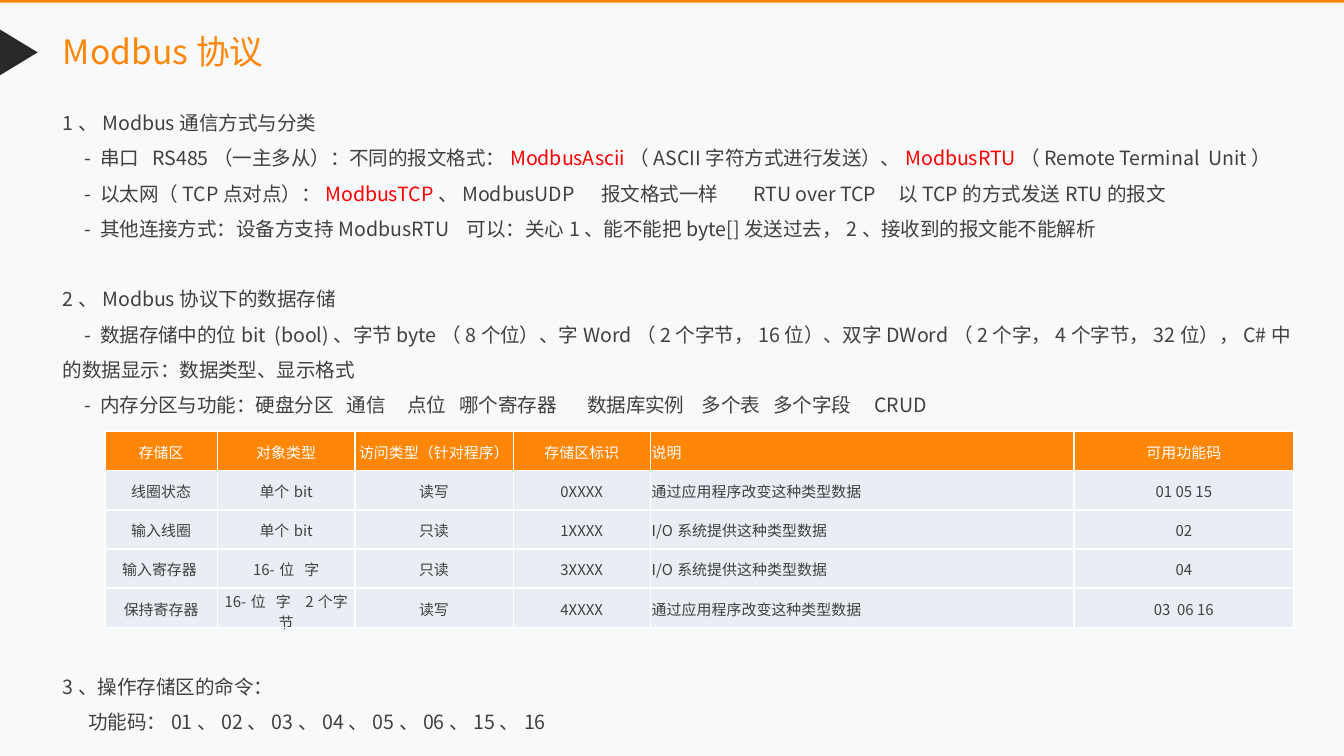
from lxml import etree
from pptx import Presentation
from pptx.dml.color import RGBColor
from pptx.enum import shapes, text
from pptx.oxml import ns
from pptx.util import Inches, Pt

ORANGE = RGBColor(0xFF, 0x86, 0x07)
DARK = RGBColor(0x28, 0x28, 0x28)
GREY = RGBColor(0x40, 0x40, 0x40)
RED = RGBColor(0xFF, 0x00, 0x00)
WHITE = RGBColor(0xFF, 0xFF, 0xFF)
PALE = RGBColor(0xE9, 0xED, 0xF4)
BACK = RGBColor(0xF7, 0xF9, 0xFA)
FONT = "Noto Sans CJK SC"


def add_run(p, words, size, color):
    r = p.add_run()
    r.text = words
    r.font.size = Pt(size)
    r.font.name = FONT
    r.font.color.rgb = color
    etree.SubElement(r.font._element, ns.qn("a:ea"), typeface=FONT)


def add_textbox(left, top, width, height):
    tf = s.shapes.add_textbox(Inches(left), Inches(top), Inches(width), Inches(height)).text_frame
    tf.word_wrap = True
    return tf


# 16:9 slide
prs = Presentation()
prs.slide_width, prs.slide_height = Inches(10), Inches(10 * 9 / 16)
s = prs.slides.add_slide(prs.slide_layouts[6])
s.background.fill.solid()
s.background.fill.fore_color.rgb = BACK

# Top bar and title marker
for kind, box, rotation, color in [
    (shapes.MSO_SHAPE.RECTANGLE, (0, 0, 10, 0.02), 0, ORANGE),
    (shapes.MSO_SHAPE.ISOSCELES_TRIANGLE, (-0.03, 0.25, 0.34, 0.28), 90, DARK),
]:
    sp = s.shapes.add_shape(kind, *[Inches(v) for v in box])
    sp.rotation = rotation
    sp.shadow.inherit = False
    sp.fill.solid()
    sp.fill.fore_color.rgb = color
    sp.line.fill.background()

# Title
tf = add_textbox(0.37, 0.18, 4.55, 0.4)
add_run(tf.paragraphs[0], "Modbus协议", 18, ORANGE)

# Body: space before (pt), first-line indent (in), runs; the red words stand out
red_words = {"ModbusAscii", "ModbusRTU", "ModbusTCP"}
body = [
    (0, 0, ["1、Modbus通信方式与分类"]),
    (0, 0.16, ["- 串口  RS485（一主多从）：不同的报文格式：", "ModbusAscii",
               "（ASCII字符方式进行发送）、", "ModbusRTU", "（Remote Terminal  Unit）"]),
    (0, 0.16, ["- 以太网（TCP点对点）：", "ModbusTCP",
               "、ModbusUDP     报文格式一样       RTU over TCP    以TCP的方式发送RTU的报文"]),
    (0, 0.16, ["- 其他连接方式：设备方支持ModbusRTU   可以：关心1、能不能把byte[]发送过去，"
               "2、接收到的报文能不能解析"]),
    (18.9, 0, ["2、Modbus协议下的数据存储"]),
    (0, 0.16, ["- 数据存储中的位bit  (bool)、字节byte（8个位）、字Word（2个字节，16位）、"
               "双字DWord（2个字，4个字节，32位），C#中的数据显示：数据类型、显示格式"]),
    (0, 0.16, ["- 内存分区与功能：硬盘分区   通信     点位   哪个寄存器       "
               "数据库实例    多个表   多个字段    CRUD"]),
    (132, 0, ["3、操作存储区的命令："]),
    (0, 0.19, ["功能码：01、02、03、04、05、06、15、16"]),
]
tf = add_textbox(0.37, 0.69, 9.36, 4.84)
for i, (before, indent, runs) in enumerate(body):
    p = tf.add_paragraph() if i else tf.paragraphs[0]
    p.line_spacing = 1.5
    p.space_before = Pt(before)
    pPr = p._p.get_or_add_pPr()
    pPr.set("marL", "0")
    pPr.set("indent", str(Inches(indent)))
    for words in runs:
        add_run(p, words, 10.5, RED if words in red_words else GREY)

# Storage area table
rows = [
    ["存储区", "对象类型", "访问类型（针对程序）", "存储区标识", "说明", "可用功能码"],
    ["线圈状态", "单个bit", "读写", "0XXXX", "通过应用程序改变这种类型数据", "01 05 15"],
    ["输入线圈", "单个bit", "只读", "1XXXX", "I/O系统提供这种类型数据", "02"],
    ["输入寄存器 ", "16-位   字", "只读", "3XXXX", "I/O系统提供这种类型数据", "04"],
    ["保持寄存器", "16-位   字   2个字节", "读写", "4XXXX", "通过应用程序改变这种类型数据", "03  06 16"],
]
widths = [0.84, 1.02, 1.18, 1.02, 3.15, 1.64]
table = s.shapes.add_table(len(rows), len(widths), Inches(0.78), Inches(3.21),
                           Inches(sum(widths)), Inches(1.46)).table
for column, width in zip(table.columns, widths):
    column.width = Inches(width)
for i, row in enumerate(rows):
    table.rows[i].height = Inches(1.46 / len(rows))
    for j, words in enumerate(row):
        cell = table.cell(i, j)
        cell.margin_left = cell.margin_right = cell.margin_top = Inches(0.01)
        cell.margin_bottom = 0
        cell.vertical_anchor = text.MSO_ANCHOR.MIDDLE
        p = cell.text_frame.paragraphs[0]
        p.alignment = text.PP_ALIGN.LEFT if j == 4 else text.PP_ALIGN.CENTER
        add_run(p, words, 8, GREY if i else WHITE)
        # White borders come before the fill in the cell properties
        tcPr = cell._tc.get_or_add_tcPr()
        for side in ("lnL", "lnR", "lnT", "lnB"):
            ln = etree.SubElement(tcPr, ns.qn("a:" + side), w=str(Pt(1)))
            fill = etree.SubElement(ln, ns.qn("a:solidFill"))
            etree.SubElement(fill, ns.qn("a:srgbClr"), val=str(WHITE))
        cell.fill.solid()
        cell.fill.fore_color.rgb = PALE if i else ORANGE

prs.save("out.pptx")
